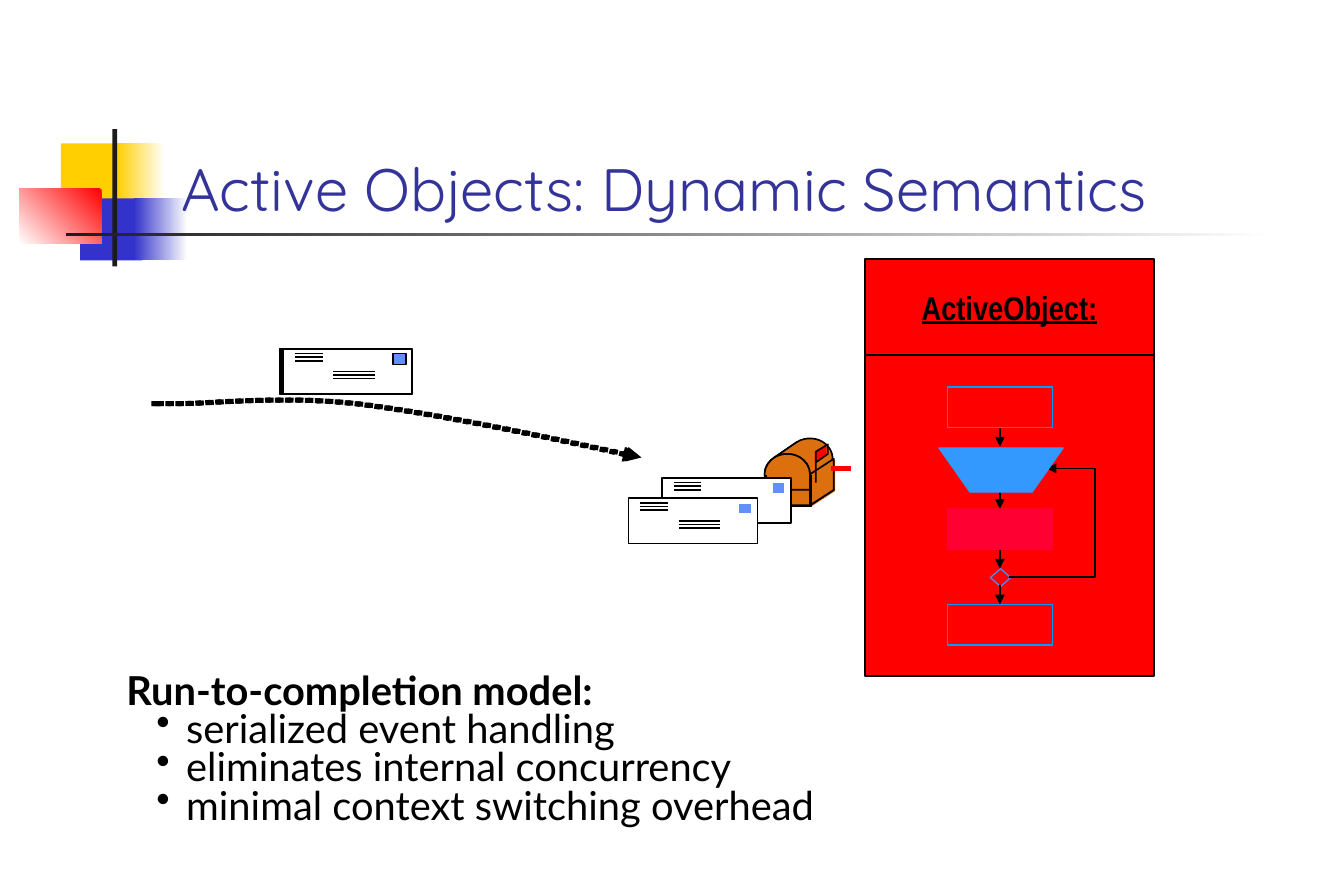
"""Builds the slide on the dynamic semantics of active objects."""
from math import cos, radians, sin

from lxml.etree import SubElement
from pptx import Presentation
from pptx.dml.color import RGBColor
from pptx.enum.dml import MSO_LINE
from pptx.enum.shapes import MSO_CONNECTOR as LINK, MSO_SHAPE as SHAPE
from pptx.enum.text import MSO_ANCHOR, PP_ALIGN
from pptx.oxml.ns import qn
from pptx.util import Inches, Pt

BLACK, WHITE = RGBColor(0, 0, 0), RGBColor(255, 255, 255)
CHARCOAL, INDIGO = RGBColor(0x1C, 0x1C, 0x1C), RGBColor(0x33, 0x33, 0x99)
GOLD, BLUE = RGBColor(0xFF, 0xCF, 0x01), RGBColor(0x33, 0x33, 0xCC)
RED, CRIMSON = RGBColor(0xFF, 0, 0), RGBColor(0xFF, 0, 0x33)
AZURE, SKY = RGBColor(0, 0x99, 0xFF), RGBColor(0x33, 0x99, 0xFF)
STAMP, ORANGE = RGBColor(0x61, 0x8F, 0xFD), RGBColor(0xDD, 0x70, 0x0E)

TITLE = "Active Objects: Dynamic Semantics"
OBJECT_NAME = "ActiveObject:"
MODEL = "Run-to-completion model:"
BENEFITS = ["serialized event handling", "eliminates internal concurrency",
            "minimal context switching overhead"]

ORNAMENT = [
    ((0.51, 1.2, 0.54, 0.52), (GOLD,), 0),
    ((0.98, 1.2, 0.4, 0.52), (WHITE, GOLD), 180),
    ((0.67, 1.66, 0.52, 0.52), (BLUE,), 0),
    ((1.12, 1.66, 0.45, 0.52), (WHITE, BLUE), 180),
    ((0.16, 1.58, 0.69, 0.46), (RED, WHITE), 225),
    ((0.94, 1.08, 0.04, 1.15), (CHARCOAL,), 0),
    ((0.55, 1.95, 10.12, 0.03), (WHITE, CHARCOAL), 180),
]
FLIGHT_START = (1.31, 3.38)
FLIGHT_CURVES = [
    ((1.25, 3.38), (1.2, 3.38), (1.48, 3.38)),
    ((1.76, 3.38), (2.33, 3.31), (2.97, 3.38)),
    ((3.62, 3.46), (4.48, 3.64), (5.34, 3.83)),
]
FLIGHT_SHIFTS = (0, 0.01, 0.03)
FLOW_X = 8.37
FLOW_ARROWS = [(3.58, 3.74), (4.11, 4.26), (4.6, 4.76), (4.9, 5.06)]
STEP_LEFT, STEP_W, STEP_H = 7.93, 0.88, 0.34
FUNNEL = [(0, 0), (1.04, 0), (0.78, 0.37), (0.26, 0.37)]
BOX_FLOOR = [(6.4, 4.23), (6.78, 4.23), (6.98, 4.1), (6.59, 4.1)]
BOX_SIDE = [(6.78, 4.23), (6.78, 3.97), (6.98, 3.84), (6.98, 4.1)]
BOX_FRONT = [(6.41, 3.98), (6.41, 4.24), (6.79, 4.24), (6.79, 3.98)]
BOX_LEFT = [(6.4, 3.97), (6.4, 4.23), (6.59, 4.1), (6.59, 3.84)]
FLAG = [(6.82, 4.04), (6.82, 3.78), (6.92, 3.72), (6.92, 3.8), (6.82, 3.87)]
DOOR_CENTRE, REAR_CENTRE, DOOR_RX, DOOR_RY = (6.59, 3.97), (6.78, 3.84), 0.19, 0.17

deck = Presentation()
deck.slide_width, deck.slide_height = Inches(11.25), Inches(7.5)
slide = deck.slides.add_slide(deck.slide_layouts[6])
shapes = slide.shapes


def paint(shape, fill=None, line=None, width=1):
    shape.shadow.inherit = False
    if fill is None:
        shape.fill.background()
    else:
        shape.fill.solid()
        shape.fill.fore_color.rgb = fill
    if line is None:
        shape.line.fill.background()
    else:
        shape.line.color.rgb = line
        shape.line.width = Pt(width)
    return shape


def block(box, fill, line=None, width=1, kind=SHAPE.RECTANGLE):
    return paint(shapes.add_shape(kind, *map(Inches, box)), fill, line, width)


def outline(points, fill=None, line=None, width=1, close=True, shift=(0, 0)):
    points = [(Inches(x + shift[0]), Inches(y + shift[1])) for x, y in points]
    builder = shapes.build_freeform(*points[0])
    builder.add_line_segments(points[1:], close=close)
    return paint(builder.convert_to_shape(), fill, line, width)


def add_head(shape):
    SubElement(shape.line._get_or_add_ln(), qn("a:tailEnd"), type="triangle")


def link(start, end, color=BLACK, width=1, kind=LINK.STRAIGHT):
    line = shapes.add_connector(kind, *map(Inches, start + end))
    line.line.color.rgb = color
    line.line.width = Pt(width)
    SubElement(line._element.spPr, qn("a:effectLst"))
    return line


def curve_points(start, curves, steps=16):
    points = [start]
    for a, b, c in curves:
        origin = points[-1]
        for t in (i / steps for i in range(1, steps + 1)):
            weights = ((1 - t) ** 3, 3 * t * (1 - t) ** 2, 3 * t * t * (1 - t), t ** 3)
            points.append(tuple(sum(w * p[axis] for w, p in zip(weights, (origin, a, b, c)))
                                for axis in (0, 1)))
    return points


def arc(centre, first, last):
    step = 10 if last > first else -10
    return [(centre[0] + DOOR_RX * cos(radians(d)), centre[1] + DOOR_RY * sin(radians(d)))
            for d in range(first, last + step, step)]


def letter(left, top, stamp_line=WHITE, address=True):
    block((left, top, 1.08, 0.38), WHITE, BLACK)
    block((left + 0.92, top + 0.04, 0.11, 0.09), STAMP, stamp_line)
    texts = [(0.1, 0.04, 0.23)] + ([(0.42, 0.19, 0.35)] if address else [])
    for dx, dy, length in texts:
        for row in range(3):
            y = top + dy + row * 0.03
            link((left + dx, y), (left + dx + length, y))


def style(paragraph, text, size, face, color, bold=False):
    paragraph.text = text
    font = paragraph.font
    font.size, font.name, font.bold = Pt(size), face, bold
    font.color.rgb = color


for box, colors, angle in ORNAMENT:
    part = block(box, colors[0])
    if len(colors) == 2:
        part.fill.gradient()
        part.fill.gradient_angle = angle
        for stop, color in zip(part.fill.gradient_stops, colors):
            stop.color.rgb = color

title = shapes.add_textbox(*map(Inches, (1.42, 0.67, 9.59, 1.25))).text_frame
title.word_wrap, title.vertical_anchor = True, MSO_ANCHOR.BOTTOM
style(title.paragraphs[0], TITLE, 36, "Quicksand", INDIGO)

model = shapes.add_textbox(*map(Inches, (0.96, 5.6, 9.92, 1.15))).text_frame
model.word_wrap = True
style(model.paragraphs[0], MODEL, 24, "Lato", BLACK, True)
model.paragraphs[0].line_spacing = 0.8
for benefit in BENEFITS:
    item = model.add_paragraph()
    item.level = 1
    item.line_spacing = 0.8
    props = item._p.get_or_add_pPr()
    props.set("marL", str(Inches(0.5)))
    props.set("indent", str(Inches(-0.25)))
    SubElement(SubElement(props, qn("a:buClr")), qn("a:srgbClr"), val=str(BLACK))
    SubElement(props, qn("a:buChar"), char="•")
    style(item, benefit, 24, "Lato", BLACK)

header = block((7.24, 2.17, 2.42, 0.81), RED, BLACK)
header.text_frame.word_wrap = False
header.text_frame.vertical_anchor = MSO_ANCHOR.MIDDLE
name = header.text_frame.paragraphs[0]
name.alignment = PP_ALIGN.CENTER
style(name, OBJECT_NAME, 20, "Arial Narrow", BLACK, True)
name.font.underline = True
block((7.24, 2.97, 2.42, 2.69), RED, BLACK)
for top in (3.24, 5.06):
    block((STEP_LEFT, top, STEP_W, STEP_H), RED, AZURE, 0.75, SHAPE.FLOWCHART_PROCESS)
block((8.29, 4.76, 0.17, 0.15), RED, SKY, 0.75, SHAPE.DIAMOND)
for top, bottom in FLOW_ARROWS:
    add_head(link((FLOW_X, top), (FLOW_X, bottom), width=0.75))
loop = link((8.45, 4.83), (8.76, 3.92), width=0.75, kind=LINK.ELBOW)
bend = loop._element.spPr.find(qn("a:prstGeom")).find(qn("a:avLst"))
SubElement(bend, qn("a:gd"), name="adj1", fmla="val 231000")
add_head(loop)

for first, last in ((55, 235), (235, 415)):
    shell = arc(DOOR_CENTRE, first, last) + arc(REAR_CENTRE, last, first)
    outline(shell, ORANGE, BLACK)
block((DOOR_CENTRE[0] - DOOR_RX, DOOR_CENTRE[1] - DOOR_RY, 2 * DOOR_RX, 2 * DOOR_RY),
      ORANGE, BLACK, kind=SHAPE.OVAL)
for panel in (BOX_FLOOR, BOX_SIDE, BOX_LEFT):
    outline(panel, ORANGE, shift=(0.01, 0.01))
outline(BOX_FRONT, ORANGE)
for panel in (BOX_FLOOR, BOX_SIDE):
    outline(panel, ORANGE, BLACK)
outline(BOX_FRONT, line=BLACK, close=False)
outline(FLAG, RED)
outline(FLAG, line=BLACK, close=False, shift=(0.01, 0))
link((6.96, 3.92), (7.99, 3.92), RED, 3).line.dash_style = MSO_LINE.DASH

letter(5.54, 4, address=False)
letter(5.26, 4.17)
for shift in FLIGHT_SHIFTS:
    flight = outline(curve_points(FLIGHT_START, FLIGHT_CURVES), line=BLACK, width=3,
                     close=False, shift=(shift, 0))
    flight.line.dash_style = MSO_LINE.ROUND_DOT
    add_head(flight)
    block((2.34 + shift, 2.92, 1.08, 0.38), WHITE, BLACK)
letter(2.37, 2.92, BLACK)

block((STEP_LEFT, 4.26, STEP_W, STEP_H), CRIMSON, CRIMSON, 0.75, SHAPE.FLOWCHART_PROCESS)
outline(FUNNEL, SKY, SKY, 0.75, shift=(7.86, 3.75))

deck.save("out.pptx")
